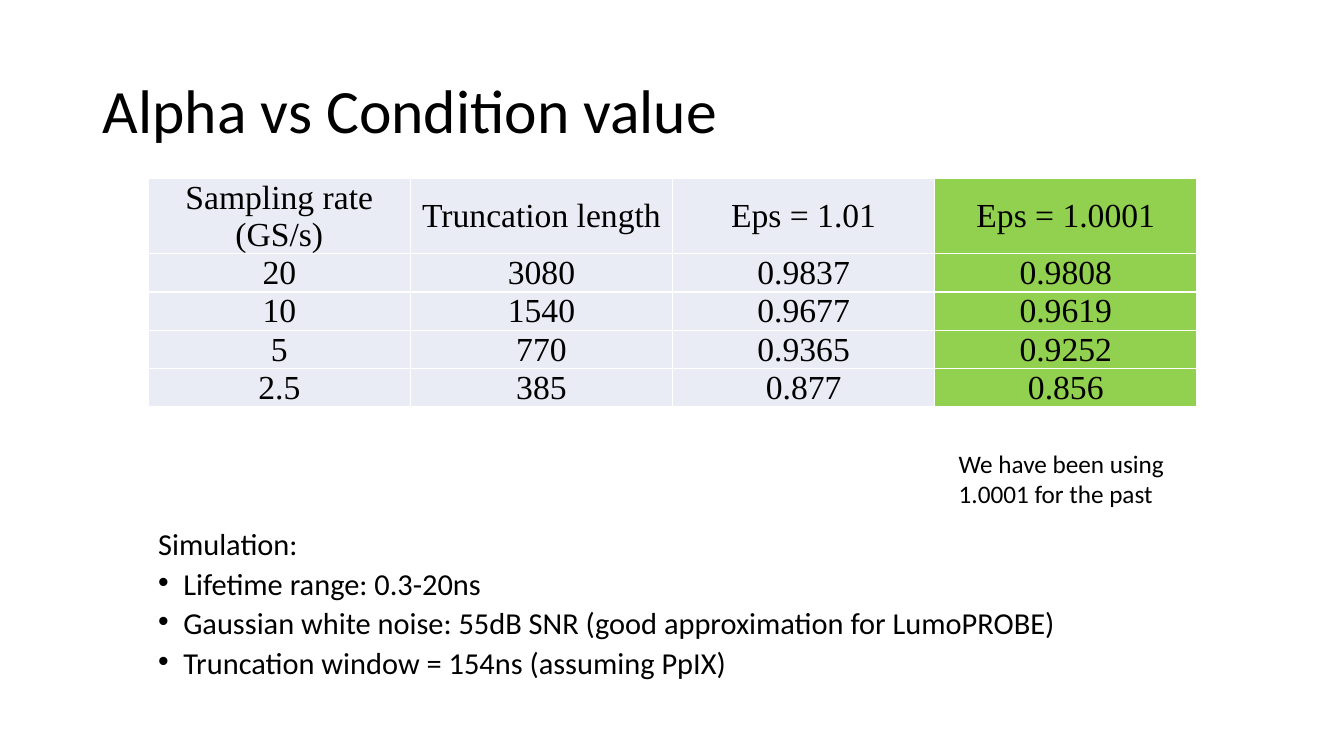
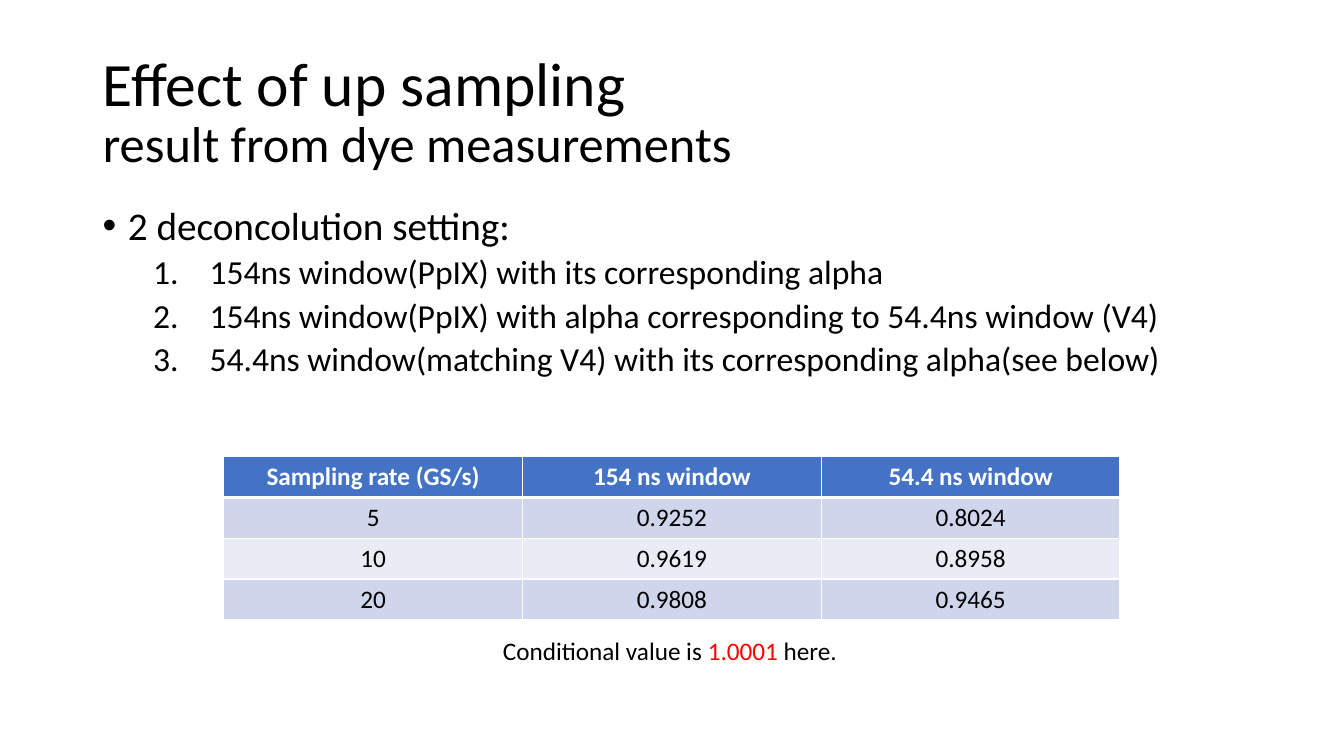
from lxml import etree
from pptx import Presentation
from pptx.dml.color import RGBColor
from pptx.enum.text import MSO_ANCHOR, MSO_AUTO_SIZE, PP_ALIGN
from pptx.oxml.ns import qn
from pptx.util import Inches, Pt

LEFT, CENTER = PP_ALIGN.LEFT, PP_ALIGN.CENTER
MIDDLE, NO_FIT = MSO_ANCHOR.MIDDLE, MSO_AUTO_SIZE.NONE
TITLE_ONLY = 5
BLACK = RGBColor(0x00, 0x00, 0x00)
WHITE = RGBColor(0xFF, 0xFF, 0xFF)
RED = RGBColor(0xFF, 0x00, 0x00)
BLUE = RGBColor(0x44, 0x72, 0xC4)
GREEN = RGBColor(0x92, 0xD0, 0x50)
PALE = RGBColor(0xE9, 0xEB, 0xF5)
BAND = RGBColor(0xCF, 0xD5, 0xEA)
SANS, SERIF = "Calibri", "Times New Roman"

TITLE_PLACE = (0.92, 0.4, 11.5, 1.45)
TITLE_LINE = {"alignment": LEFT, "line_spacing": 0.9}
DOT = ("a:buChar", {"char": "•"}, 0.25, 0.25)
NUMBER = ("a:buAutoNum", {"type": "arabicPeriod"}, 1.06, 0.56)

ALPHA_TITLE = [("Alpha vs Condition value", 44)]
ALPHA_ROWS = [
    ("Sampling rate (GS/s)", "Truncation length", "Eps = 1.01", "Eps = 1.0001"),
    ("20", "3080", "0.9837", "0.9808"),
    ("10", "1540", "0.9677", "0.9619"),
    ("5", "770", "0.9365", "0.9252"),
    ("2.5", "385", "0.877", "0.856"),
]
PAST_NOTE = "We have been using 1.0001 for the past"
SIMULATION = [
    ("Simulation:", None),
    ("Lifetime range: 0.3-20ns", DOT),
    ("Gaussian white noise: 55dB SNR (good approximation for LumoPROBE)", DOT),
    ("Truncation window = 154ns (assuming PpIX)", DOT),
]

UPSAMPLING_TITLE = [("Effect of up sampling", 44), ("result from dye measurements", 36)]
SETTINGS_HEAD = "2 deconcolution setting:"
SETTINGS = [
    "154ns window(PpIX) with its corresponding alpha",
    "154ns window(PpIX) with alpha corresponding to 54.4ns window (V4)",
    "54.4ns window(matching V4) with its corresponding alpha(see below)",
]
WINDOW_ROWS = [
    ("Sampling rate (GS/s)", "154 ns window", "54.4 ns window"),
    ("5", "0.9252", "0.8024"),
    ("10", "0.9619", "0.8958"),
    ("20", "0.9808", "0.9465"),
]
CONDITION = [("Conditional value is ", BLACK), ("1.0001", RED), (" here.", BLACK)]


def apply(target, values):
    for name, value in values.items():
        setattr(target, name, value)


def add_span(para, text, size, color=BLACK, font=SANS, bold=False):
    span = para.add_run()
    span.text = text
    apply(span.font, {"size": Pt(size), "name": font, "bold": bold})
    span.font.color.rgb = color


def set_bullet(para, bullet):
    tag, attributes, margin, hanging = bullet
    properties = para._p.get_or_add_pPr()
    properties.set("marL", str(Inches(margin)))
    properties.set("indent", str(-Inches(hanging)))
    etree.SubElement(properties, qn("a:buFont"), typeface="Arial")
    etree.SubElement(properties, qn(tag), attributes)


def set_heading_rule(cell):
    rule = etree.Element(qn("a:lnB"), w=str(Pt(3)))
    fill = etree.SubElement(rule, qn("a:solidFill"))
    etree.SubElement(fill, qn("a:srgbClr"), val=str(WHITE))
    cell._tc.get_or_add_tcPr().insert(0, rule)


def add_page(deck, title_lines):
    page = deck.slides.add_slide(deck.slide_layouts[TITLE_ONLY])
    title = page.shapes.title
    names = ("left", "top", "width", "height")
    apply(title, dict(zip(names, map(Inches, TITLE_PLACE))))
    apply(title.text_frame, {"vertical_anchor": MIDDLE, "auto_size": NO_FIT, "word_wrap": True})
    para = title.text_frame.paragraphs[0]
    apply(para, TITLE_LINE)
    for index, (text, size) in enumerate(title_lines):
        if index:
            para.add_line_break()
        add_span(para, text, size)
    return page


def add_text(page, place, lines, wrap=True):
    box = page.shapes.add_textbox(*map(Inches, place))
    frame = box.text_frame
    frame.word_wrap = wrap
    for index, (spans, size, layout, bullet) in enumerate(lines):
        para = frame.add_paragraph() if index else frame.paragraphs[0]
        apply(para, layout)
        if bullet:
            set_bullet(para, bullet)
        for text, color in spans:
            add_span(para, text, size, color)


def add_grid(page, place, rows, heights, fill_of, size, font=SANS, header=False, margins=None):
    frame = page.shapes.add_table(len(rows), len(rows[0]), *map(Inches, place))
    table = frame.table
    apply(table, {"first_row": header, "horz_banding": False})
    for r, (texts, height) in enumerate(zip(rows, heights)):
        table.rows[r].height = Inches(height)
        heading = header and r == 0
        for c, text in enumerate(texts):
            cell = table.cell(r, c)
            apply(cell, {"vertical_anchor": MIDDLE, **(margins or {})})
            cell.fill.solid()
            cell.fill.fore_color.rgb = fill_of(r, c)
            if heading:
                set_heading_rule(cell)
            para = cell.text_frame.paragraphs[0]
            para.alignment = CENTER
            add_span(para, text, size, WHITE if heading else BLACK, font, heading)


def build_alpha_page(deck):
    page = add_page(deck, ALPHA_TITLE)
    sides = ("margin_left", "margin_top", "margin_right")
    margins = {**dict.fromkeys(sides, Inches(0.01)), "margin_bottom": 0}
    add_grid(page, (1.47, 1.77, 10.4, 2.24), ALPHA_ROWS, [0.74] + [0.37] * 4,
             lambda r, c: GREEN if c == 3 else PALE, 24, SERIF, margins=margins)
    add_text(page, (9.41, 4.4, 2.32, 0.71), [([(PAST_NOTE, BLACK)], 18, {}, None)])
    layout = {"line_spacing": 0.7, "space_before": Pt(10)}
    add_text(page, (1.47, 5.26, 11.5, 1.57),
             [([(text, BLACK)], 21.7, layout, bullet) for text, bullet in SIMULATION])


def build_upsampling_page(deck):
    page = add_page(deck, UPSAMPLING_TITLE)
    head_layout = {"line_spacing": 0.9, "space_before": Pt(10)}
    item_layout = {"line_spacing": 0.9, "space_before": Pt(5), "level": 1}
    lines = [([(SETTINGS_HEAD, BLACK)], 28, head_layout, DOT)]
    lines += [([(text, BLACK)], 24, item_layout, NUMBER) for text in SETTINGS]
    add_text(page, (0.92, 2, 11.5, 1.85), lines)
    fills = (BLUE, BAND, PALE, BAND)
    add_grid(page, (2.22, 4.53, 8.89, 1.62), WINDOW_ROWS, [1.62 / 4] * 4,
             lambda r, c: fills[r], 18, header=True)
    add_text(page, (4.89, 6.25, 3.55, 0.4), [(CONDITION, 18, {}, None)], wrap=False)


def main():
    deck = Presentation()
    apply(deck, {"slide_width": Inches(13.33), "slide_height": Inches(7.5)})
    build_alpha_page(deck)
    build_upsampling_page(deck)
    deck.save("out.pptx")


if __name__ == "__main__":
    main()
